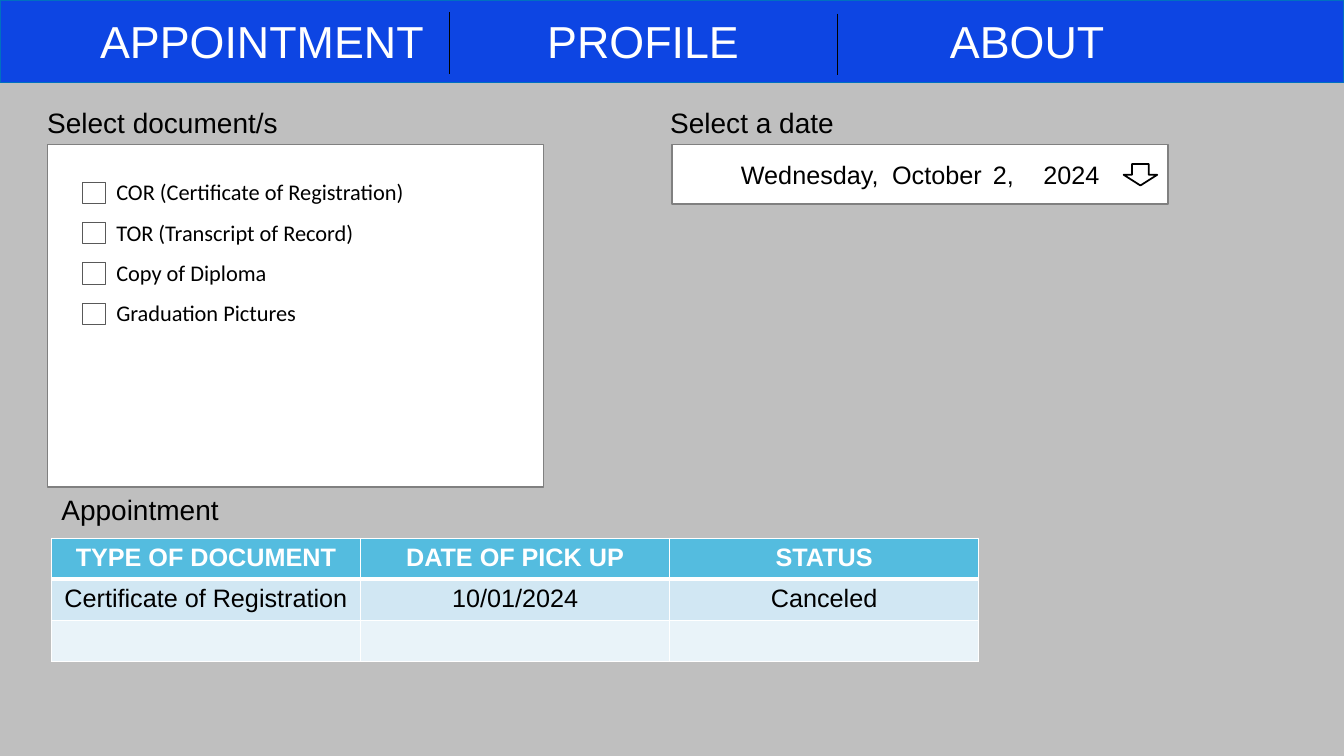
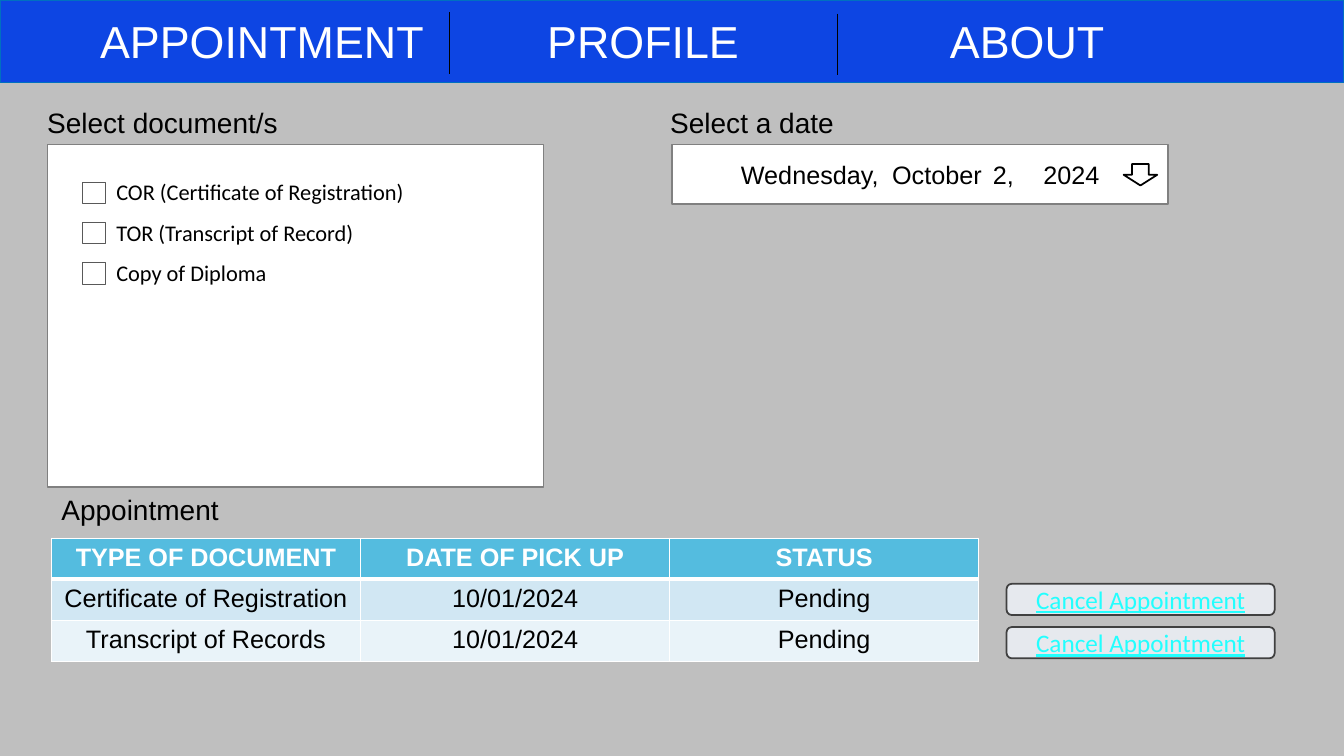
from dataclasses import dataclass
from typing import NamedTuple

from lxml.etree import SubElement
from pptx import Presentation
from pptx.dml.color import RGBColor
from pptx.enum.shapes import MSO_CONNECTOR, MSO_SHAPE
from pptx.enum.text import MSO_ANCHOR, MSO_AUTO_SIZE, PP_ALIGN
from pptx.oxml.ns import qn
from pptx.shapes.autoshape import Shape
from pptx.shapes.shapetree import _BaseGroupShapes as Shapes
from pptx.slide import Slide
from pptx.table import _Cell as Cell
from pptx.text.text import _Paragraph as Paragraph
from pptx.util import Pt

BLACK = RGBColor(0x00, 0x00, 0x00)
WHITE = RGBColor(0xFF, 0xFF, 0xFF)
PAGE_GREY = RGBColor(0xBF, 0xBF, 0xBF)
FIELD_EDGE = RGBColor(0x80, 0x80, 0x80)
CHECKBOX_EDGE = RGBColor(0x59, 0x59, 0x59)
NAV_BLUE = RGBColor(0x0D, 0x45, 0xE3)
NAV_EDGE = RGBColor(0x00, 0x70, 0xC0)
HEADER_FILL = RGBColor(0x54, 0xBC, 0xDF)
ROW_FILLS = (RGBColor(0xD1, 0xE7, 0xF3), RGBColor(0xE9, 0xF3, 0xF9))
BUTTON_FILL = RGBColor(0xE6, 0xE9, 0xEE)
BUTTON_EDGE = RGBColor(0x40, 0x40, 0x40)
BUTTON_TEXT = RGBColor(0x22, 0xFF, 0xFF)

PAGE_WIDTH, PAGE_HEIGHT = 960, 540
COLUMN_WIDTH, ROW_HEIGHT = 220.8, 29.3
CHECKBOX_PITCH = 28.8
BUTTON_PITCH = 30.9


class Box(NamedTuple):
    left: float
    top: float
    width: float
    height: float


class TextStyle(NamedTuple):
    size: float
    color: RGBColor = BLACK
    name: str = "Arial"
    align: PP_ALIGN = PP_ALIGN.LEFT
    bold: bool = False
    underline: bool = False


class Label(NamedTuple):
    text: str
    box: Box


@dataclass(frozen=True)
class AppointmentPage:
    documents: tuple[str, ...]
    appointments: tuple[tuple[str, str, str], ...]
    cancel_buttons: int = 0


NAV_STYLE = TextStyle(32, WHITE, align=PP_ALIGN.CENTER)
LABEL_STYLE = TextStyle(20)
CHECKBOX_STYLE = TextStyle(16, name="Calibri")
FIELD_STYLE = TextStyle(18, align=PP_ALIGN.CENTER)
HEADER_STYLE = FIELD_STYLE._replace(color=WHITE, bold=True)
BUTTON_STYLE = FIELD_STYLE._replace(color=BUTTON_TEXT, name="Calibri", underline=True)

NAV_TABS = (
    Label("APPOINTMENT", Box(61.9, 6.5, 250.6, 46.1)),
    Label("PROFILE", Box(334.1, 6.5, 250.6, 46.1)),
    Label("ABOUT", Box(608.4, 6.5, 250.6, 46.1)),
)
NAV_DIVIDERS = ((321.1, 8.6), (597.9, 9.7))
DIVIDER_LENGTH = 44
SECTION_LABELS = (
    Label("Select document/s", Box(26.6, 72, 198, 31.7)),
    Label("Select a date", Box(471.6, 72, 198, 31.7)),
    Label("Appointment", Box(36.7, 348.5, 181.4, 31.7)),
)
COLUMN_TITLES = ("TYPE OF DOCUMENT", "DATE OF PICK UP", "STATUS")
DOCUMENTS = (
    "COR (Certificate of Registration)",
    "TOR (Transcript of Record)",
    "Copy of Diploma",
    "Graduation Pictures",
)
PAGES = (
    AppointmentPage(
        DOCUMENTS,
        (("Certificate of Registration", "10/01/2024", "Canceled"), ("", "", "")),
    ),
    AppointmentPage(
        DOCUMENTS[:3],
        (
            ("Certificate of Registration", "10/01/2024", "Pending"),
            ("Transcript of Records", "10/01/2024", "Pending"),
        ),
        cancel_buttons=2,
    ),
)


def points(box: Box) -> tuple[Pt, ...]:
    return tuple(Pt(length) for length in box)


def write(paragraph: Paragraph, text: str, style: TextStyle) -> None:
    if text:
        paragraph.add_run().text = text
    paragraph.alignment = style.align
    font = paragraph.font
    font.name, font.size = style.name, Pt(style.size)
    font.bold, font.underline = style.bold, style.underline
    font.color.rgb = style.color


def add_label(shapes: Shapes, label: Label, style: TextStyle) -> None:
    frame = shapes.add_textbox(*points(label.box)).text_frame
    frame.word_wrap = True
    frame.auto_size = MSO_AUTO_SIZE.SHAPE_TO_FIT_TEXT
    write(frame.paragraphs[0], label.text, style)


def add_panel(
    shapes: Shapes,
    box: Box,
    edge: RGBColor,
    fill: RGBColor | None = WHITE,
    edge_width: float = 1.25,
    kind: MSO_SHAPE = MSO_SHAPE.RECTANGLE,
) -> Shape:
    panel = shapes.add_shape(kind, *points(box))
    panel.shadow.inherit = False
    if fill is None:
        panel.fill.background()
    else:
        panel.fill.solid()
        panel.fill.fore_color.rgb = fill
    panel.line.color.rgb = edge
    panel.line.width = Pt(edge_width)
    return panel


def write_centered(panel: Shape, text: str, style: TextStyle) -> None:
    panel.text_frame.vertical_anchor = MSO_ANCHOR.MIDDLE
    write(panel.text_frame.paragraphs[0], text, style)


def add_divider(shapes: Shapes, x: float, top: float) -> None:
    divider = shapes.add_connector(
        MSO_CONNECTOR.STRAIGHT, Pt(x), Pt(top), Pt(x), Pt(top + DIVIDER_LENGTH)
    )
    divider.line.color.rgb = BLACK
    divider.line.width = Pt(0.75)
    SubElement(divider._element.spPr, qn("a:effectLst"))


def add_navigation(slide: Slide) -> None:
    shapes = slide.shapes.add_group_shape().shapes
    add_panel(shapes, Box(0, 0, PAGE_WIDTH, 59), NAV_EDGE, NAV_BLUE)
    for tab in NAV_TABS:
        add_label(shapes, tab, NAV_STYLE)
    for x, top in NAV_DIVIDERS:
        add_divider(shapes, x, top)


def add_document_list(slide: Slide, documents: tuple[str, ...]) -> None:
    add_panel(slide.shapes, Box(34, 103.2, 354.2, 244.6), FIELD_EDGE)
    for index, document in enumerate(documents):
        top = 124 + index * CHECKBOX_PITCH
        shapes = slide.shapes.add_group_shape().shapes
        add_panel(shapes, Box(59, top + 6.2, 16.6, 15.1), CHECKBOX_EDGE, None, 0.75)
        add_label(shapes, Label(document, Box(76, top, 225, 26.6)), CHECKBOX_STYLE)


def add_date_picker(slide: Slide) -> None:
    field = add_panel(slide.shapes, Box(480.2, 103.2, 354.2, 42.5), FIELD_EDGE)
    write_centered(field, "Wednesday,\tOctober\t2,\t2024", FIELD_STYLE)
    add_panel(
        slide.shapes, Box(802.6, 117.2, 24, 15.3), BLACK, kind=MSO_SHAPE.DOWN_ARROW
    )


def set_borders(cell: Cell, top: float, bottom: float) -> None:
    """Draw white cell borders; call before the fill, which follows them in the XML."""
    properties = cell._tc.get_or_add_tcPr()
    for side, width in {"L": 1, "R": 1, "T": top, "B": bottom}.items():
        border = SubElement(properties, qn(f"a:ln{side}"), w=str(Pt(width)))
        fill = SubElement(border, qn("a:solidFill"))
        SubElement(fill, qn("a:srgbClr"), val=str(WHITE))


def add_appointment_table(
    slide: Slide, appointments: tuple[tuple[str, str, str], ...]
) -> None:
    rows = (COLUMN_TITLES, *appointments)
    box = Box(36.7, 384.5, COLUMN_WIDTH * len(COLUMN_TITLES), ROW_HEIGHT * len(rows))
    table = slide.shapes.add_table(len(rows), len(COLUMN_TITLES), *points(box)).table
    for column in table.columns:
        column.width = Pt(COLUMN_WIDTH)
    for r, values in enumerate(rows):
        table.rows[r].height = Pt(ROW_HEIGHT)
        for c, value in enumerate(values):
            cell = table.cell(r, c)
            set_borders(cell, 3 if r == 1 else 1, 3 if r == 0 else 1)
            cell.fill.solid()
            cell.fill.fore_color.rgb = ROW_FILLS[(r - 1) % 2] if r else HEADER_FILL
            style = FIELD_STYLE if r else HEADER_STYLE
            write(cell.text_frame.paragraphs[0], value, style)


def add_cancel_buttons(slide: Slide, count: int) -> None:
    for index in range(count):
        box = Box(719, 417 + index * BUTTON_PITCH, 191.5, 22.3)
        button = add_panel(
            slide.shapes, box, BUTTON_EDGE, BUTTON_FILL, kind=MSO_SHAPE.ROUNDED_RECTANGLE
        )
        write_centered(button, "Cancel Appointment", BUTTON_STYLE)


def main() -> None:
    deck = Presentation()
    deck.slide_width, deck.slide_height = Pt(PAGE_WIDTH), Pt(PAGE_HEIGHT)
    blank_layout = deck.slide_layouts.get_by_name("Blank")
    for page in PAGES:
        slide = deck.slides.add_slide(blank_layout)
        slide.background.fill.solid()
        slide.background.fill.fore_color.rgb = PAGE_GREY
        add_navigation(slide)
        for label in SECTION_LABELS:
            add_label(slide.shapes, label, LABEL_STYLE)
        add_document_list(slide, page.documents)
        add_date_picker(slide)
        add_appointment_table(slide, page.appointments)
        add_cancel_buttons(slide, page.cancel_buttons)
    deck.save("out.pptx")


if __name__ == "__main__":
    main()
